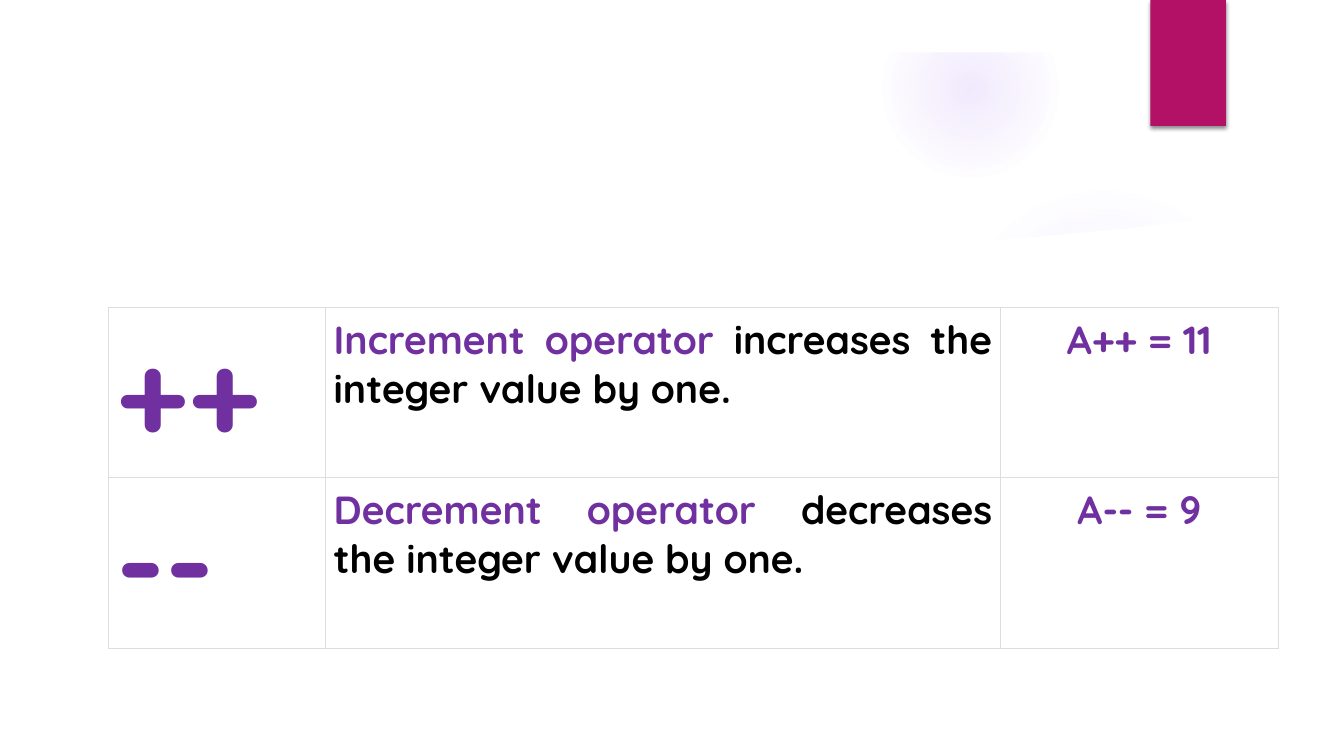
import pptx
import pptx.dml.color
import pptx.enum.shapes
import pptx.enum.text
import pptx.oxml
import pptx.oxml.ns
import pptx.util
from pptx.util import Inches

SHAPE = pptx.enum.shapes.MSO_SHAPE
ALIGN = pptx.enum.text.PP_ALIGN
NAMESPACE = pptx.oxml.ns.nsdecls("a")
FONT = "Quicksand"
WHITE, BLACK, PURPLE, LILAC, MAGENTA, GRID = (
    "FFFFFF", "000000", "7030A0", "9B6BF2", "B31166", "DDDDDD")

# Curved upper edge of the content panel, from right to left
PANEL_EDGE = [(12.84, 2.04), (12.28, 2.13), (11.72, 2.2), (11.16, 2.27),
              (10.6, 2.32), (10.04, 2.37), (9.49, 2.41), (8.67, 2.45),
              (7.6, 2.47), (6.57, 2.48), (5.35, 2.45), (4.01, 2.38),
              (2.83, 2.3), (1.87, 2.21), (1.13, 2.12), (0.5, 2.04)]
# Sheen lying along that edge
SHEEN = [(9.34, 2.5), (10.3, 2.47), (11.6, 2.33), (12.89, 2.14),
         (12.83, 1.66), (12.36, 1.81), (11.9, 1.94), (11.44, 2.06),
         (10.98, 2.16), (10.53, 2.25), (10.1, 2.32), (9.69, 2.38), (9.3, 2.43)]

OPERATORS = [
    ("++", "Increment operator ", "increases the integer value by one.", "A++ = 11"),
    ("--", "Decrement operator ", "decreases the integer value by one.", "A-- = 9"),
]


def color(value):
    return pptx.dml.color.RGBColor.from_string(value)


def paint(shape, fill):
    shape.shadow.inherit = False
    shape.line.fill.background()
    shape.fill.solid()
    shape.fill.fore_color.rgb = color(fill)
    return shape


def add_preset(slide, kind, box, fill):
    return paint(slide.shapes.add_shape(kind, *map(Inches, box)), fill)


def add_outline(slide, points, fill):
    corners = [(Inches(x), Inches(y)) for x, y in points]
    builder = slide.shapes.build_freeform(*corners[0], scale=1.0)
    builder.add_line_segments(corners[1:], close=True)
    return paint(builder.convert_to_shape(), fill)


def add_glow(slide, box, stops):
    """Circle whose radial gradient fades out; stops are (position, opacity)."""
    circle = add_preset(slide, SHAPE.OVAL, box, LILAC)
    stop_xml = "".join(
        f'<a:gs pos="{position * 1000}"><a:srgbClr val="{LILAC}">'
        f'<a:alpha val="{opacity * 1000}"/></a:srgbClr></a:gs>'
        for position, opacity in stops)
    gradient = pptx.oxml.parse_xml(
        f'<a:gradFill {NAMESPACE} rotWithShape="1"><a:gsLst>{stop_xml}</a:gsLst>'
        '<a:path path="circle"><a:fillToRect l="50000" t="50000" r="50000" b="50000"/>'
        '</a:path></a:gradFill>')
    properties = circle.fill._xPr
    properties.replace(properties.find(pptx.oxml.ns.qn("a:solidFill")), gradient)


def add_backdrop(slide, box):
    left, top, width, height = box
    # Glows
    add_glow(slide, (left + 9.41, top + 1.83, 3.08, 3.08), [(0, 7), (36, 6), (69, 0)])
    add_glow(slide, (left + 8.75, top + 0.01, 1.75, 1.75), [(0, 14), (36, 7), (73, 0)])
    # Sheen
    sheen = add_outline(slide, [(left + x, top + y) for x, y in SHEEN], WHITE)
    sheen.rotation = 350.2
    sheen_color = sheen.fill._xPr.find(".//" + pptx.oxml.ns.qn("a:srgbClr"))
    sheen_color.append(pptx.oxml.parse_xml(f'<a:alpha {NAMESPACE} val="20000"/>'))
    # Panel and the frame around the slide
    panel = [(0.5, 7), (12.84, 7)] + PANEL_EDGE
    add_outline(slide, [(left + x, top + y) for x, y in panel], WHITE)
    frame = add_preset(slide, SHAPE.FRAME, box, WHITE)
    frame.adjustments[0] = 0.52 / min(width, height)


def add_tab(slide, box):
    tab = add_preset(slide, SHAPE.RECTANGLE, box, MAGENTA)
    effects = tab.fill._xPr.find(pptx.oxml.ns.qn("a:effectLst"))
    effects.append(pptx.oxml.parse_xml(
        f'<a:outerShdw {NAMESPACE} blurRad="38100" dist="25400" dir="5400000" '
        f'rotWithShape="0"><a:srgbClr val="{BLACK}"><a:alpha val="45000"/>'
        '</a:srgbClr></a:outerShdw>'))


def add_text(paragraph, text, size=28, fill=PURPLE, align=ALIGN.LEFT):
    paragraph.alignment = align
    run = paragraph.add_run()
    run.text = text
    run.font.name = FONT
    run.font.size = pptx.util.Pt(size)
    run.font.bold = True
    run.font.color.rgb = color(fill)


def format_cell(cell):
    cell.margin_left = cell.margin_right = Inches(0.08)
    cell.margin_top = cell.margin_bottom = Inches(0.08)
    properties = cell._tc.get_or_add_tcPr()
    for side in ("lnL", "lnR", "lnT", "lnB"):
        properties.append(pptx.oxml.parse_xml(
            f'<a:{side} {NAMESPACE} w="9525"><a:solidFill>'
            f'<a:srgbClr val="{GRID}"/></a:solidFill></a:{side}>'))
    cell.fill.background()


def add_operator_table(slide, box):
    table = slide.shapes.add_table(len(OPERATORS), 3, *map(Inches, box)).table
    table.first_row = table.horz_banding = False
    for column, width in zip(table.columns, (2.15, 6.69, 2.76)):
        column.width = Inches(width)
    for row, (symbol, name, effect, example) in zip(table.rows, OPERATORS):
        for cell in row.cells:
            format_cell(cell)
        symbol_line, meaning_line, example_line = (
            cell.text_frame.paragraphs[0] for cell in row.cells)
        add_text(symbol_line, symbol, size=88)
        add_text(meaning_line, name, align=ALIGN.JUSTIFY)
        add_text(meaning_line, effect, fill=BLACK, align=ALIGN.JUSTIFY)
        add_text(example_line, example, align=ALIGN.CENTER)


def main():
    presentation = pptx.Presentation()
    presentation.slide_width = Inches(13.33)
    presentation.slide_height = Inches(7.5)
    slide = presentation.slides.add_slide(presentation.slide_layouts[6])
    add_backdrop(slide, (0, 0, 13.33, 7.5))
    add_tab(slide, (11.41, 0, 0.75, 1.25))
    add_operator_table(slide, (1.08, 3.05, 11.6, 3.38))
    presentation.save("out.pptx")


if __name__ == "__main__":
    main()
